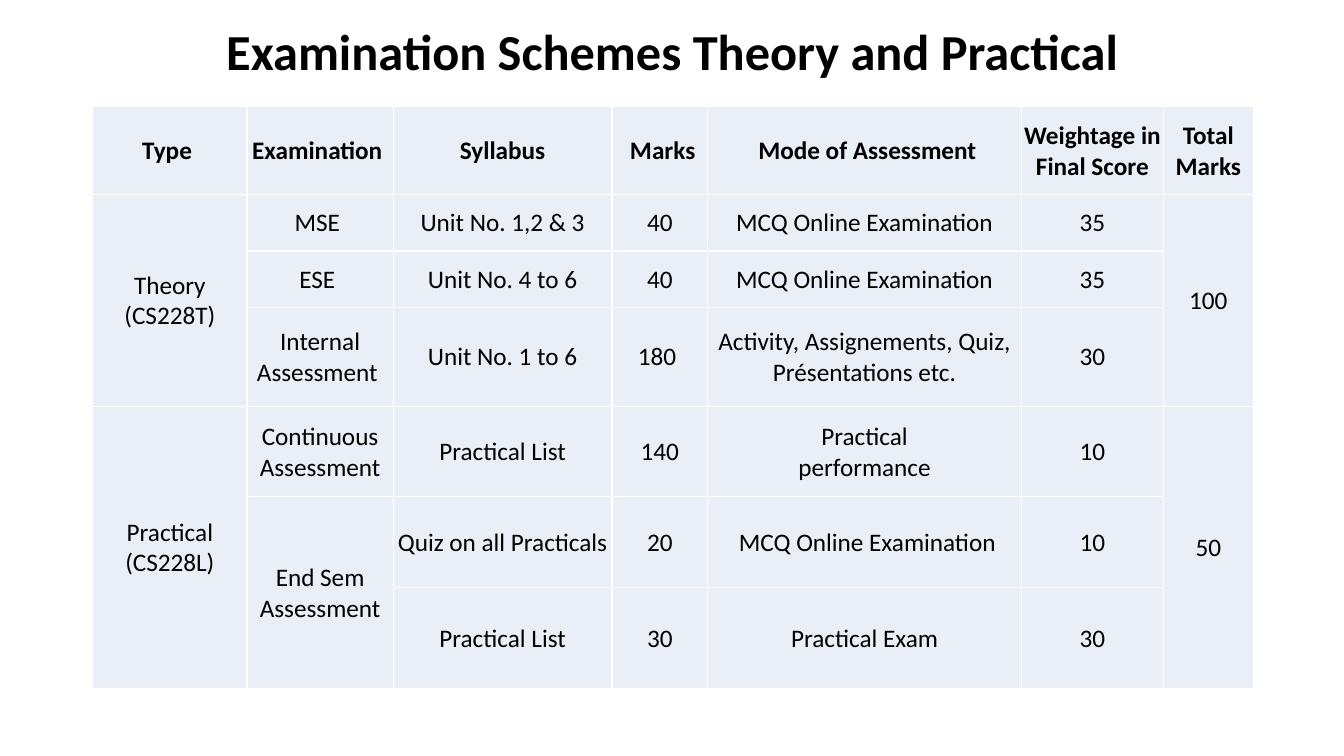
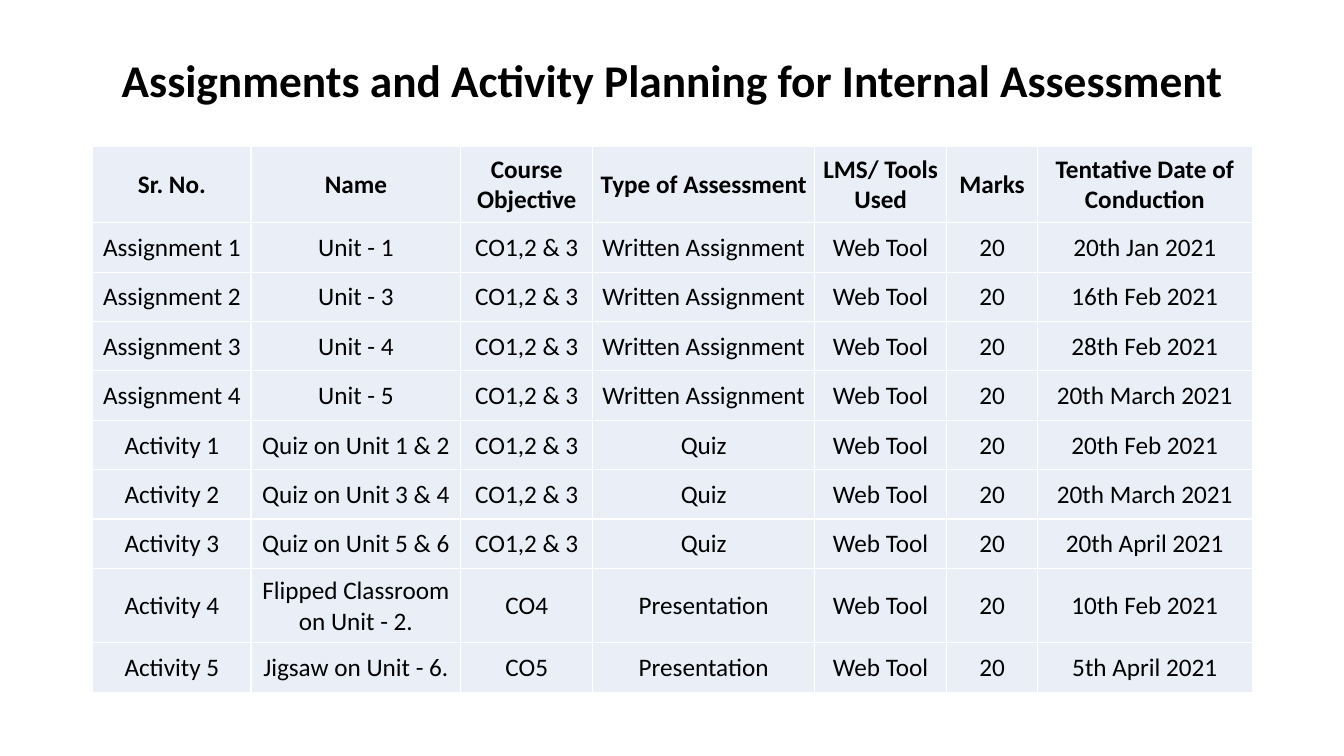
from lxml import etree
from pptx import Presentation
from pptx.dml.color import RGBColor
from pptx.enum import text as tx
from pptx.oxml import ns
from pptx.util import Inches, Pt

COLORS = {"ink": "000000", "cell": "EAEFF7", "rule": "FFFFFF"}
FONT = "Calibri"
LEFT, WIDTH = 0.92, 11.5

EXAM_COLS = [1.53, 1.45, 2.17, 0.95, 3.11, 1.41, 0.89]
EXAM_ROWS = [0.87, 0.56, 0.56, 0.98, 0.9, 0.9, 1]
EXAMS = [
    ["Type ", "Examination ", "Syllabus", " Marks", " Mode of Assessment",
     "Weightage in Final Score", "Total Marks"],
    ["Theory\n(CS228T)", "MSE ", "Unit No. 1,2 & 3", "40",
     "MCQ Online Examination", "35", "100"],
    [None, "ESE ", "Unit No. 4 to 6", "40", "MCQ Online Examination", "35", None],
    [None, "Internal\nAssessment ", "Unit No. 1 to 6", "180 ",
     "Activity, Assignements, Quiz, Présentations etc.", "30", None],
    ["Practical\n(CS228L)", "Continuous\nAssessment", "Practical List", "140",
     "Practical\nperformance", "10", "50"],
    [None, "End Sem\nAssessment", "Quiz on all Practicals", "20",
     "\u00a0MCQ Online Examination", "10", None],
    [None, None, "Practical List", "30", "Practical Exam", "30", None],
]

PLAN_COLS = [1.57, 2.08, 1.31, 2.2, 1.31, 0.9, 2.13]
PLAN_ROWS = [0.76] + [0.49] * 7 + [0.74, 0.49]
PLAN_HEAD = ["Sr. No.", "Name", "Course Objective", "Type of Assessment",
             "LMS/ Tools Used", "Marks", "Tentative Date of Conduction"]
TOOL, MARKS = "Web Tool", "20"
GOALS = "CO1,2 & 3"
TASKS = [
    ("Assignment 1", "Unit - 1", GOALS, "Written Assignment", "20th Jan 2021"),
    ("Assignment 2", "Unit - 3", GOALS, "Written Assignment", "16th Feb 2021"),
    ("Assignment 3", "Unit - 4", GOALS, "Written Assignment", "28th Feb 2021"),
    ("Assignment 4", "Unit - 5", GOALS, "Written Assignment", "20th March 2021"),
    ("Activity 1", "Quiz on Unit 1 & 2", GOALS, "Quiz", "20th Feb 2021"),
    ("Activity 2", "Quiz on Unit 3 & 4", GOALS, "Quiz", "20th March 2021"),
    ("Activity 3", "Quiz on Unit 5 & 6", GOALS, "Quiz", "20th April 2021"),
    ("Activity 4", "Flipped Classroom on Unit - 2.", "CO4", "Presentation",
     "10th Feb 2021"),
    ("Activity 5", "Jigsaw on Unit - 6.", "CO5", "Presentation", "5th April 2021"),
]


def write(frame, words, size=18, bold=False, color="ink", spacing=None):
    """Put centred, formatted text in a text frame."""
    frame.word_wrap = True
    para = frame.paragraphs[0]
    para.text = words
    para.alignment = tx.PP_ALIGN.CENTER
    if spacing:
        para.line_spacing = spacing
    for run in para.runs:
        font = run.font
        font.name, font.size, font.bold = FONT, Pt(size), bold
        font.color.rgb = RGBColor.from_string(COLORS[color])


def add_title(slide, words, top, height, size):
    """Add the bold heading of a slide."""
    box = slide.shapes.add_textbox(
        Inches(LEFT), Inches(top), Inches(WIDTH), Inches(height))
    box.text_frame.vertical_anchor = tx.MSO_ANCHOR.MIDDLE
    write(box.text_frame, words, size=size, bold=True, spacing=0.9)


def add_rules(cell):
    """Draw thin rules on the four sides of a cell."""
    props = cell._tc.get_or_add_tcPr()
    for side in ("a:lnL", "a:lnR", "a:lnT", "a:lnB"):
        line = etree.SubElement(props, ns.qn(side), w=str(Pt(1)))
        fill = etree.SubElement(line, ns.qn("a:solidFill"))
        etree.SubElement(fill, ns.qn("a:srgbClr"), val=COLORS["rule"])


def style_cell(cell):
    """Set the rules, fill, margins and anchor of a cell."""
    add_rules(cell)
    cell.fill.solid()
    cell.fill.fore_color.rgb = RGBColor.from_string(COLORS["cell"])
    cell.margin_left = cell.margin_right = cell.margin_top = Inches(0.01)
    cell.margin_bottom = 0
    cell.vertical_anchor = tx.MSO_ANCHOR.MIDDLE


def add_grid(slide, top, cols, rows, data):
    """Add a table where None continues the cell above."""
    table = slide.shapes.add_table(
        len(rows), len(cols), Inches(LEFT), Inches(top),
        Inches(WIDTH), Inches(sum(rows))).table
    table.first_row = table.horz_banding = False
    for col, width in zip(table.columns, cols):
        col.width = Inches(width)
    for row, height in zip(table.rows, rows):
        row.height = Inches(height)
    for x in range(len(cols)):
        start = 0
        for y, line in enumerate(data):
            cell = table.cell(y, x)
            style_cell(cell)
            if line[x] is not None:
                start = y
                write(cell.text_frame, line[x], bold=y == 0)
            elif y + 1 == len(data) or data[y + 1][x] is not None:
                table.cell(start, x).merge(cell)


def add_page(deck):
    """Add a blank slide."""
    return deck.slides.add_slide(deck.slide_layouts[6])


def main():
    """Build and save the deck."""
    deck = Presentation()
    deck.slide_width, deck.slide_height = Inches(13.33), Inches(7.5)

    exam = add_page(deck)
    add_title(exam, "Examination Schemes Theory and Practical", 0.21, 0.66, 36)
    add_grid(exam, 1.06, EXAM_COLS, EXAM_ROWS, EXAMS)

    plan = add_page(deck)
    add_title(plan, "Assignments and Activity Planning for Internal Assessment",
              0.4, 0.85, 32.4)
    tasks = [[*task[:4], TOOL, MARKS, task[4]] for task in TASKS]
    add_grid(plan, 1.45, PLAN_COLS, PLAN_ROWS, [PLAN_HEAD, *tasks])

    deck.save("out.pptx")


main()
